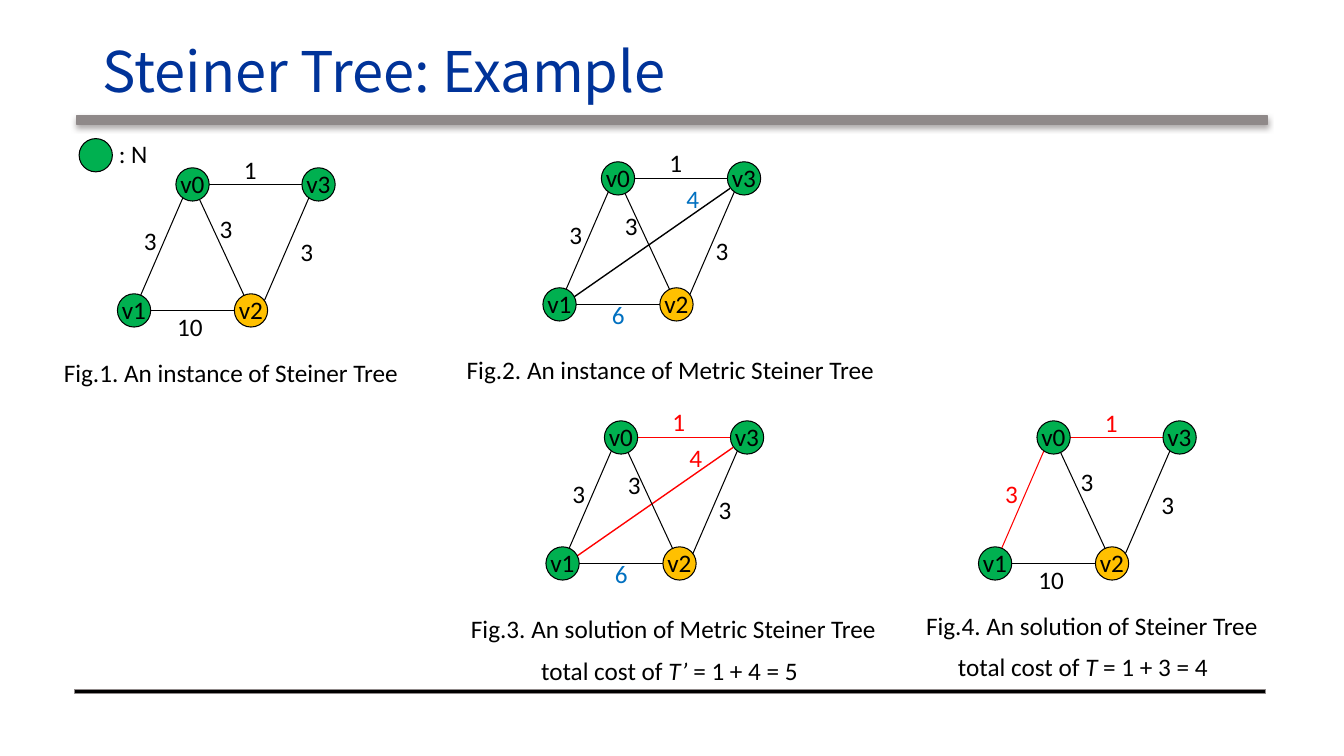
from lxml import etree
from pptx import Presentation
from pptx.dml.color import RGBColor
from pptx.enum.shapes import MSO_CONNECTOR, MSO_SHAPE
from pptx.enum.text import MSO_ANCHOR, MSO_AUTO_SIZE, PP_ALIGN
from pptx.oxml.ns import qn
from pptx.util import Inches, Pt

STRAIGHT = MSO_CONNECTOR.STRAIGHT
OVAL = MSO_SHAPE.OVAL
RECTANGLE = MSO_SHAPE.RECTANGLE
MIDDLE = MSO_ANCHOR.MIDDLE
GROW = MSO_AUTO_SIZE.SHAPE_TO_FIT_TEXT
LEFT = PP_ALIGN.LEFT
CENTER = PP_ALIGN.CENTER

BLACK, RED, BLUE = "000000", "FF0000", "0070C0"
GREEN, YELLOW, GRAY, NAVY = "00B050", "FFC000", "8F8989", "003399"
DIAMETER = 0.33

NODES = {
    "v0": (0, 0, GREEN),
    "v3": (1.25, 0, GREEN),
    "v2": (0.58, 1.25, YELLOW),
    "v1": (-0.58, 1.25, GREEN),
}
EDGES = {
    "v1-v3": (-0.5, 1.22, 1.11, 0.1, 1),
    "v0-v2": (0, 0, 0.58, 1.25, 0.75),
    "v2-v3": (1.25, -0.09, 0.67, 1.25, 0.75),
    "v0-v1": (0, -0.09, -0.58, 1.25, 0.75),
    "v1-v2": (-0.58, 1.25, 0.67, 1.25, 0.75),
    "v0-v3": (0, 0, 1.25, 0, 0.75),
}
PLAIN = {
    "weights": {
        "v1-v2": ("10", -0.25, 1.21),
        "v2-v3": ("3", 0.97, 0.47),
        "v0-v1": ("3", -0.58, 0.36),
        "v0-v2": ("3", 0.17, 0.24),
        "v0-v3": ("1", 0.41, -0.35),
    },
    "caption": (0.38, 1.67),
    "cost": (0.29, 2.07),
}
METRIC = {
    "weights": {
        "v1-v2": ("6", -0.16, 1.15),
        "v2-v3": ("3", 0.87, 0.52),
        "v0-v1": ("3", -0.58, 0.36),
        "v0-v2": ("3", -0.03, 0.27),
        "v0-v3": ("1", 0.41, -0.36),
        "v1-v3": ("4", 0.58, 0),
    },
    "caption": (0.52, 1.7),
    "cost": (0.48, 2.11),
}
FIGURES = [
    (1.91, 1.83, PLAIN, "Fig.1. An instance of Steiner Tree", None, (), ()),
    (6.13, 1.77, METRIC, "Fig.2. An instance of Metric Steiner Tree", None,
     (), ("v1-v2", "v1-v3")),
    (6.16, 4.34, METRIC, "Fig.3. An solution of Metric Steiner Tree",
     ("T’", " = 1 + 4 = 5"), ("v0-v3", "v1-v3"), ("v1-v2",)),
    (10.45, 4.34, PLAIN, "Fig.4. An solution of Steiner Tree",
     ("T", " = 1 + 3 = 4"), ("v0-v3", "v0-v1"), ()),
]


def rgb(color):
    return RGBColor.from_string(color)


def add_run(paragraph, text, size=18, font="Calibri", color=BLACK, italic=False):
    run = paragraph.add_run()
    run.text = text
    run.font.size = Pt(size)
    run.font.name = font
    run.font.italic = italic
    run.font.color.rgb = rgb(color)


def add_label(slide, left, top, width, runs, align=LEFT, **formatting):
    box = slide.shapes.add_textbox(
        Inches(left), Inches(top), Inches(width), Inches(0.4))
    frame = box.text_frame
    frame.word_wrap = True
    frame.auto_size = GROW
    paragraph = frame.paragraphs[0]
    paragraph.alignment = align
    for text, italic in runs:
        add_run(paragraph, text, italic=italic, **formatting)


def add_block(slide, kind, left, top, width, height, fill, line, weight):
    shape = slide.shapes.add_shape(
        kind, Inches(left), Inches(top), Inches(width), Inches(height))
    shape.shadow.inherit = False
    shape.fill.solid()
    shape.fill.fore_color.rgb = rgb(fill)
    shape.line.color.rgb = rgb(line)
    shape.line.width = Pt(weight)
    return shape


def add_node(slide, center_x, center_y, fill):
    add_block(slide, OVAL, center_x - DIAMETER / 2, center_y - DIAMETER / 2,
              DIAMETER, DIAMETER, fill, BLACK, 0.75)


def add_edge(slide, x1, y1, x2, y2, color, weight):
    edge = slide.shapes.add_connector(
        STRAIGHT, Inches(x1), Inches(y1), Inches(x2), Inches(y2))
    edge.line.color.rgb = rgb(color)
    edge.line.width = Pt(weight)
    etree.SubElement(edge._element.spPr, qn("a:effectLst"))


def add_shadow(shape, color, blur, distance):
    effects = shape._element.spPr.find(qn("a:effectLst"))
    shadow = etree.SubElement(
        effects, qn("a:outerShdw"), blurRad=str(Pt(blur)),
        dist=str(Pt(distance)), dir="5400000", algn="t", rotWithShape="0")
    etree.SubElement(shadow, qn("a:srgbClr"), val=color)


def add_title(slide, text):
    title = slide.shapes.title
    title.left, title.top = Inches(0.92), Inches(0.25)
    title.width, title.height = Inches(11.2), Inches(0.98)
    title.text_frame.vertical_anchor = MIDDLE
    paragraph = title.text_frame.paragraphs[0]
    paragraph.alignment = LEFT
    paragraph.line_spacing = 0.9
    add_run(paragraph, text, size=40, font="Noto Sans CJK SC", color=NAVY)


def add_figure(slide, x, y, layout, caption, cost, tree, derived):
    weights = layout["weights"]
    for name, (x1, y1, x2, y2, weight) in EDGES.items():
        if name in weights:
            color = RED if name in tree else BLACK
            add_edge(slide, x + x1, y + y1, x + x2, y + y2, color, weight)
    for dx, dy, fill in NODES.values():
        add_node(slide, x + dx, y + dy, fill)
    for name, (text, dx, dy) in weights.items():
        color = RED if name in tree else BLUE if name in derived else BLACK
        add_label(slide, x + dx, y + dy, 0.7, [(text, False)], color=color)
    for name, (dx, dy, _) in NODES.items():
        add_label(slide, x + dx - 0.22, y + dy - 0.21, 0.52, [(name, False)])

    width = 4.74
    dx, dy = layout["caption"]
    add_label(slide, x + dx - width / 2, y + dy, width, [(caption, False)], CENTER)
    if cost:
        tree_name, total = cost
        dx, dy = layout["cost"]
        runs = [("total cost of ", False), (tree_name, True), (total, False)]
        add_label(slide, x + dx - width / 2, y + dy, width, runs, CENTER)


def main():
    presentation = Presentation()
    presentation.slide_width = Inches(13.33)
    presentation.slide_height = Inches(7.5)
    slide = presentation.slides.add_slide(presentation.slide_layouts[5])

    header_rule = add_block(
        slide, RECTANGLE, 0.76, 1.15, 11.81, 0.08, GRAY, GRAY, 1)
    add_shadow(header_rule, "AFABAB", 4, 2)
    add_block(slide, RECTANGLE, 0.74, 6.84, 11.81, 0.04, BLACK, GRAY, 1)
    add_title(slide, "Steiner Tree: Example")

    add_node(slide, 0.95, 1.54, GREEN)
    add_label(slide, 1.08, 1.32, 0.75, [(": N", False)])
    for figure in FIGURES:
        add_figure(slide, *figure)

    presentation.save("out.pptx")


if __name__ == "__main__":
    main()
